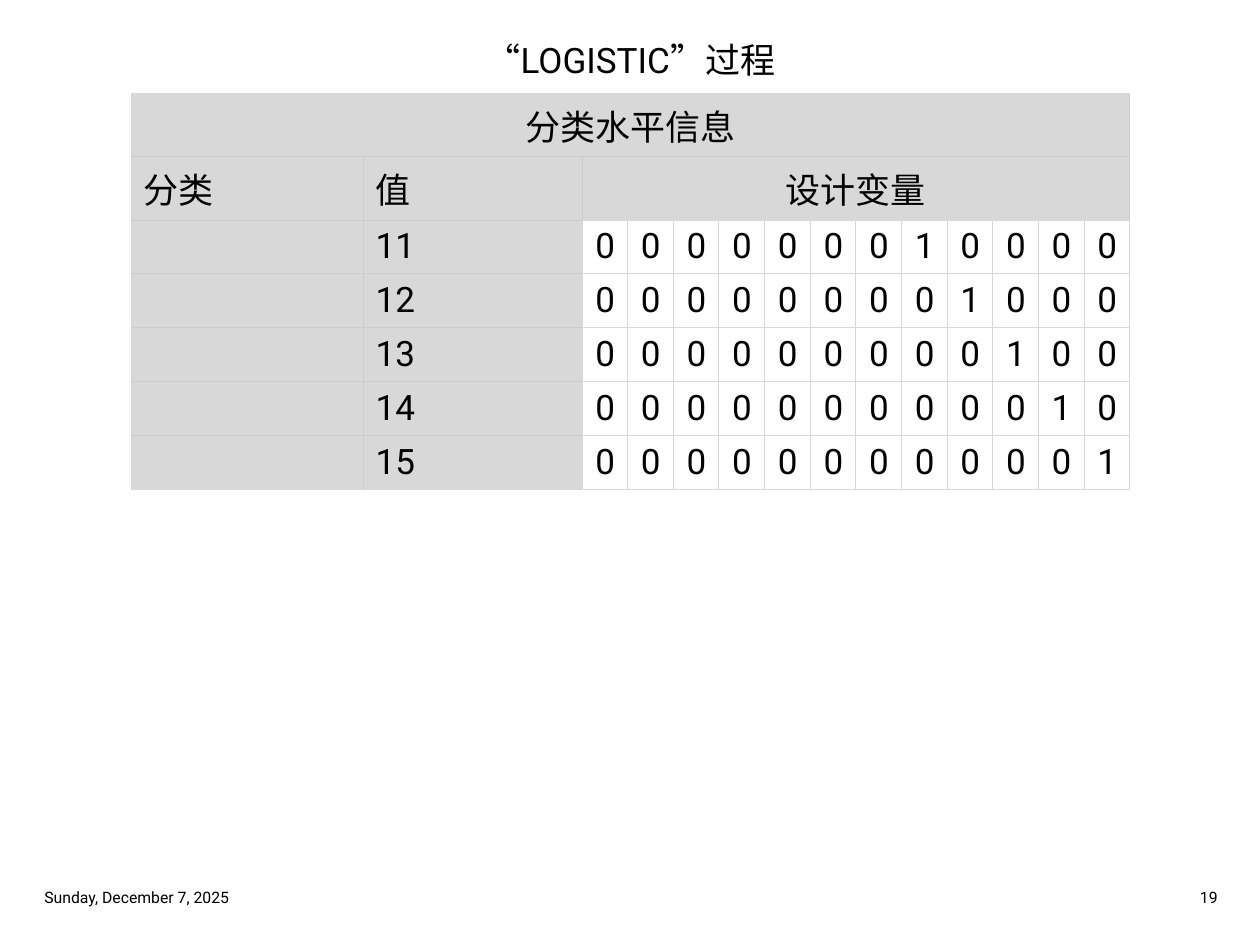
"""Build the slide with the class level table of the LOGISTIC procedure."""
from lxml import etree
from pptx import Presentation
from pptx.dml.color import RGBColor
from pptx.enum.text import MSO_ANCHOR, MSO_AUTO_SIZE, PP_ALIGN
from pptx.oxml.ns import qn
from pptx.util import Emu, Pt

LEFT, CENTER, RIGHT = PP_ALIGN.LEFT, PP_ALIGN.CENTER, PP_ALIGN.RIGHT
TOP, MIDDLE, BOTTOM = MSO_ANCHOR.TOP, MSO_ANCHOR.MIDDLE, MSO_ANCHOR.BOTTOM
NO_AUTOFIT = MSO_AUTO_SIZE.NONE
EMU_PER_PX = 914400 / 126


def px(length):
    return Emu(round(length * EMU_PER_PX))


def color(value):
    return RGBColor.from_string(value)


class SlideBuilder:
    FONT, INK, GREY, GREY_EDGE = "Roboto", "000000", "D8D8D8", "CCCCCC"
    BODY_SIZE, FOOTER_SIZE = 20, 9

    def __init__(self, presentation):
        self.slide = presentation.slides.add_slide(presentation.slide_layouts[5])

    def add_text(self, frame, text, size, align):
        paragraph = frame.paragraphs[0]
        paragraph.alignment = align
        run = paragraph.add_run()
        run.text = text
        run.font.name, run.font.size = self.FONT, Pt(size)
        run.font.color.rgb = color(self.INK)

    def title(self, text, left, top, width, height):
        title = self.slide.shapes.title
        title.left, title.top, title.width, title.height = map(px, (left, top, width, height))
        frame = title.text_frame
        frame.auto_size, frame.vertical_anchor = NO_AUTOFIT, TOP
        self.add_text(frame, text, self.BODY_SIZE, CENTER)

    def footer(self, text, left, top, width, height, align):
        box = self.slide.shapes.add_textbox(*map(px, (left, top, width, height)))
        frame = box.text_frame
        frame.word_wrap, frame.vertical_anchor = True, MIDDLE
        self.add_text(frame, text, self.FOOTER_SIZE, align)

    def table(self, left, top, widths, row_height, row_count):
        frame = self.slide.shapes.add_table(
            row_count, len(widths), px(left), px(top), px(sum(widths)), px(row_height * row_count))
        table = frame.table
        table.first_row = table.horz_banding = False
        for column, width in zip(table.columns, widths):
            column.width = px(width)
        for row in table.rows:
            row.height = px(row_height)
        return table

    def borders(self, cell, edges):
        properties = cell._tc.get_or_add_tcPr()
        for side, value in zip(("lnL", "lnR", "lnT", "lnB"), edges):
            line = etree.SubElement(properties, qn(f"a:{side}"), w=str(Pt(0.5)))
            fill = etree.SubElement(line, qn("a:solidFill"))
            etree.SubElement(fill, qn("a:srgbClr"), val=value)

    def label_cell(self, table, row, column):
        outer = column == 0, False, row == 0, row == len(table.rows) - 1
        cell = table.cell(row, column)
        self.borders(cell, [self.GREY if edge else self.GREY_EDGE for edge in outer])
        cell.fill.solid()
        cell.fill.fore_color.rgb = color(self.GREY)

    def value_cell(self, table, row, column):
        cell = table.cell(row, column)
        self.borders(cell, [self.GREY] * 4)
        cell.fill.background()

    def cell_text(self, cell, text, align=LEFT, anchor=TOP):
        cell.vertical_anchor = anchor
        self.add_text(cell.text_frame, text, self.BODY_SIZE, align)


def main():
    presentation = Presentation()
    presentation.slide_width, presentation.slide_height = px(1260), px(945)
    builder = SlideBuilder(presentation)
    builder.title("“LOGISTIC”过程", 32, 32, 1197, 53)

    levels = range(11, 16)
    header_rows, label_columns, design_count = 2, 2, 12
    widths = [232, 219] + [548 / design_count] * design_count
    table = builder.table(131, 93, widths, 53, header_rows + len(levels))
    for row in range(len(table.rows)):
        for column in range(len(widths)):
            is_label = row < header_rows or column < label_columns
            make_cell = builder.label_cell if is_label else builder.value_cell
            make_cell(table, row, column)

    last = len(widths) - 1
    table.cell(0, 0).merge(table.cell(0, last))
    table.cell(1, label_columns).merge(table.cell(1, last))
    headings = ((0, 0, "分类水平信息", CENTER), (1, 0, "分类", LEFT),
                (1, 1, "值", LEFT), (1, 2, "设计变量", CENTER))
    for row, column, heading, align in headings:
        builder.cell_text(table.cell(row, column), heading, align, BOTTOM)

    first_active = design_count - len(levels)
    for index, level in enumerate(levels):
        row = header_rows + index
        builder.cell_text(table.cell(row, 1), str(level))
        for design in range(design_count):
            indicator = "1" if design == first_active + index else "0"
            builder.cell_text(table.cell(row, label_columns + design), indicator, RIGHT)

    builder.footer("Sunday, December 7, 2025", 32, 881, 300, 33, LEFT)
    builder.footer("19", 930, 881, 300, 33, RIGHT)
    presentation.save("out.pptx")


if __name__ == "__main__":
    main()
